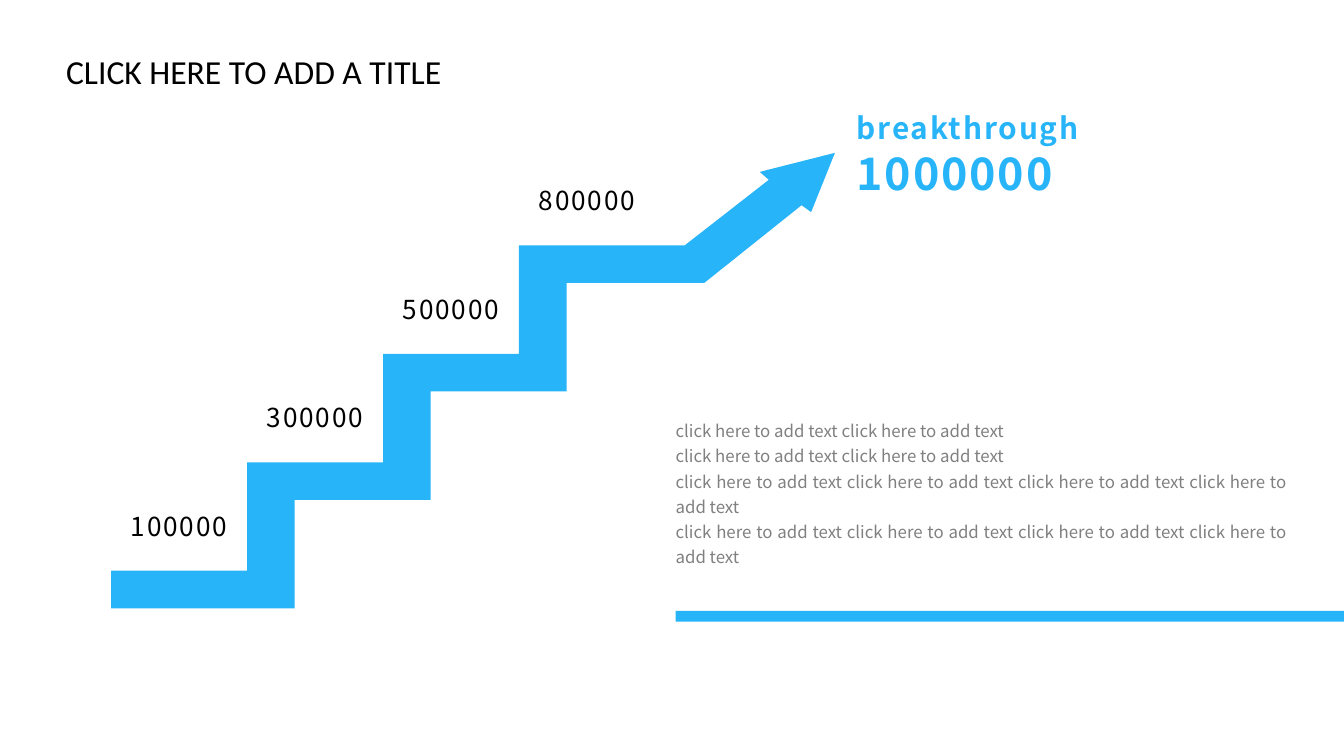
from pptx import Presentation
from pptx.dml.color import RGBColor
from pptx.enum.shapes import MSO_SHAPE as Shape
from pptx.enum.text import MSO_ANCHOR as Anchor, PP_ALIGN as Align
from pptx.util import Cm, Pt

COLORS = {"black": "000000", "gray": "808080", "blue": "27B4F9"}
SANS = "Noto Sans CJK SC"

TITLE = "CLICK HERE TO ADD A TITLE"
MILESTONES = ["100000", "300000", "500000", "800000"]
GOAL = [("breakthrough ", 16), ("1000000", 24)]
PHRASE = "click here to add text "
BODY = [PHRASE * count for count in (2, 2, 4, 4)]

# Staircase measures, all in cm
LEFT, FIRST_TREAD = 2.1, 10.79
STEP_WIDTH, STEP_HEIGHT = 2.57, 2.05
RISER, TREAD = 0.9, 0.71
ARROW = [(12.94, 4.64), (14.53, 3.4), (14.36, 3.25), (15.78, 2.89),
         (15.33, 4.01), (15.15, 3.88), (13.31, 5.35)]


def add_text(page, place, paragraphs, color, font=SANS, spacing=0,
             bold=False, box_format=None, para_format=None):
    """Add a text box; each paragraph is a list of (text, size) spans."""
    frame = page.shapes.add_textbox(*map(Cm, place)).text_frame
    for name, value in {"word_wrap": True, **(box_format or {})}.items():
        setattr(frame, name, value)
    for index, spans in enumerate(paragraphs):
        para = frame.add_paragraph() if index else frame.paragraphs[0]
        for name, value in (para_format or {}).items():
            setattr(para, name, value)
        for text, size in spans:
            span = para.add_run()
            span.text = text
            for name, value in {"name": font, "size": Pt(size), "bold": bold}.items():
                setattr(span.font, name, value)
            span.font.color.rgb = RGBColor.from_string(COLORS[color])
            if spacing:
                span._r.get_or_add_rPr().set("spc", str(spacing * 100))


def paint(shape, color):
    shape.shadow.inherit = False
    shape.fill.solid()
    shape.fill.fore_color.rgb = RGBColor.from_string(COLORS[color])
    shape.line.fill.background()


def staircase_outline():
    """Go up the upper edge, round the arrow and down the lower edge."""
    upper, lower = [(LEFT, FIRST_TREAD)], [(LEFT, FIRST_TREAD + TREAD)]
    for step in range(1, len(MILESTONES)):
        x = LEFT + step * STEP_WIDTH
        top = FIRST_TREAD - step * STEP_HEIGHT
        upper += [(x, top + STEP_HEIGHT), (x, top)]
        lower += [(x + RISER, top + STEP_HEIGHT + TREAD), (x + RISER, top + TREAD)]
    return upper + ARROW + lower[::-1]


def main():
    deck = Presentation()
    deck.slide_width, deck.slide_height = Cm(25.4), Cm(14.29)
    page = deck.slides.add_slide(deck.slide_layouts[6])

    add_text(page, (1, 0.84, 7.7, 1.02), [[(TITLE, 18)]], "black",
             font="Calibri", box_format={"word_wrap": False})

    start, *rest = [(Cm(x), Cm(y)) for x, y in staircase_outline()]
    builder = page.shapes.build_freeform(*start)
    builder.add_line_segments(rest, close=True)
    paint(builder.convert_to_shape(), "blue")

    for step, amount in enumerate(MILESTONES):
        place = (LEFT + step * STEP_WIDTH, 9.52 - step * STEP_HEIGHT, 2.57, 0.86)
        add_text(page, place, [[(amount, 14)]], "black", spacing=1,
                 para_format={"alignment": Align.CENTER})

    add_text(page, (15.94, 1.95, 4.95, 1.96), [GOAL], "blue", spacing=1, bold=True)

    add_text(page, (12.77, 7.51, 11.53, 4.04), [[(line, 9)] for line in BODY], "gray",
             box_format={"vertical_anchor": Anchor.MIDDLE, "margin_left": 0,
                         "margin_right": 0, "margin_top": 0, "margin_bottom": Cm(0.48)},
             para_format={"alignment": Align.JUSTIFY, "line_spacing": 1.25})

    bar = page.shapes.add_shape(Shape.RECTANGLE, *map(Cm, (12.77, 11.55, 12.63, 0.2)))
    paint(bar, "blue")

    deck.save("out.pptx")


if __name__ == "__main__":
    main()
